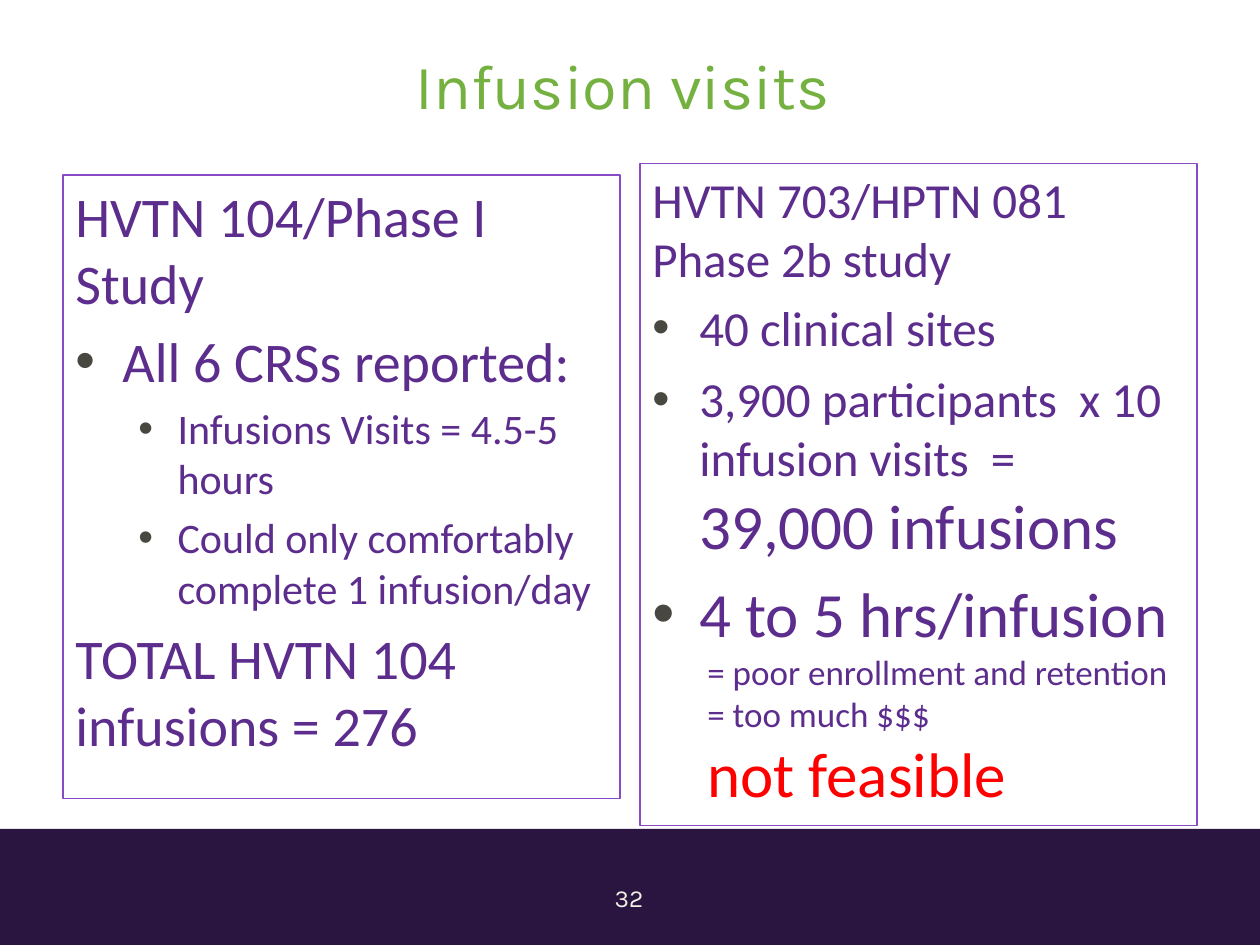
from typing import NamedTuple

from lxml import etree
from pptx import Presentation
from pptx.dml.color import RGBColor
from pptx.enum.shapes import MSO_SHAPE
from pptx.enum.text import MSO_ANCHOR, PP_ALIGN
from pptx.oxml.ns import qn
from pptx.util import Cm, Pt

RECTANGLE = MSO_SHAPE.RECTANGLE
TOP, MIDDLE = MSO_ANCHOR.TOP, MSO_ANCHOR.MIDDLE
LEFT, CENTER = PP_ALIGN.LEFT, PP_ALIGN.CENTER

PURPLE, BORDER, BULLET = "5C2D8D", "884AC5", "494840"
GREEN, RED, FOOTER, CREAM = "75B140", "FF0000", "2A1440", "F2F0E6"
BODY_FONT, TITLE_FONT = "Calibri", "Karla"


class Style(NamedTuple):
    margin: float = 0
    hanging: float = 0
    level: int = 0
    spaced: bool = True


HEADING = Style()
ITEM = Style(margin=0.95, hanging=0.95)
SUBITEM = Style(margin=2.06, hanging=0.79, level=1)
REMARK = Style(margin=1.11, level=1, spaced=False)


class Span(NamedTuple):
    text: str
    size: int


class Line(NamedTuple):
    style: Style
    spans: list[Span]
    color: str = PURPLE


class Panel(NamedTuple):
    left: float
    top: float
    height: float
    lines: list[Line]


PANEL_WIDTH = 11.23
PANELS = [
    Panel(1.27, 3.53, 12.57, [
        Line(HEADING, [Span("HVTN 104/Phase I Study", 32)]),
        Line(ITEM, [Span("All 6 CRSs reported:", 32)]),
        Line(SUBITEM, [Span("Infusions Visits = 4.5-5 hours", 24)]),
        Line(SUBITEM, [Span("Could only comfortably complete 1 infusion/day", 24)]),
        Line(HEADING, [Span("TOTAL HVTN 104 infusions = 276", 32)]),
    ]),
    Panel(12.9, 3.3, 13.34, [
        Line(HEADING, [Span("HVTN 703/HPTN 081 Phase 2b study", 28)]),
        Line(ITEM, [Span("40 clinical sites", 28)]),
        Line(ITEM, [Span("3,900 participants  x 10 infusion visits  = ", 28),
                    Span("39,000 infusions", 36)]),
        Line(ITEM, [Span("4 to 5 hrs/infusion", 36)]),
        Line(REMARK, [Span("= poor enrollment and retention", 20)]),
        Line(REMARK, [Span("= too much $$$", 20)]),
        Line(REMARK, [Span("not feasible", 36)], RED),
    ]),
]


def rgb(value: str) -> RGBColor:
    return RGBColor.from_string(value)


def add_rectangle(page, left: float, top: float, width: float, height: float):
    box = page.shapes.add_shape(RECTANGLE, Cm(left), Cm(top), Cm(width), Cm(height))
    box.shadow.inherit = False
    return box


def add_bullet(para) -> None:
    properties = para._p.get_or_add_pPr()
    color = etree.SubElement(properties, qn("a:buClr"))
    etree.SubElement(color, qn("a:srgbClr"), val=BULLET)
    etree.SubElement(properties, qn("a:buFont"), typeface="Arial")
    etree.SubElement(properties, qn("a:buChar"), char="•")


def write_line(para, line: Line, first: bool) -> None:
    style = line.style
    para.alignment = LEFT
    para.level = style.level
    properties = para._p.get_or_add_pPr()
    properties.set("marL", str(Cm(style.margin)))
    properties.set("indent", str(-Cm(style.hanging)))
    if style.hanging:
        add_bullet(para)
    if style.spaced and not first:
        para.space_before = Pt(0.2 * max(span.size for span in line.spans))
    para.font.name = BODY_FONT
    para.font.color.rgb = rgb(line.color)
    if len(line.spans) == 1:
        para.font.size = Pt(line.spans[0].size)
    for span in line.spans:
        run = para.add_run()
        run.text = span.text
        if len(line.spans) > 1:
            run.font.size = Pt(span.size)


def add_panel(page, panel: Panel) -> None:
    box = add_rectangle(page, panel.left, panel.top, PANEL_WIDTH, panel.height)
    box.fill.background()
    box.line.color.rgb = rgb(BORDER)
    box.line.width = Pt(0.75)
    frame = box.text_frame
    frame.word_wrap = True
    frame.vertical_anchor = TOP
    for index, line in enumerate(panel.lines):
        para = frame.add_paragraph() if index else frame.paragraphs[0]
        write_line(para, line, index == 0)


def add_label(page, text: str, left: float, top: float, width: float,
              height: float, size: int, color: str):
    box = page.shapes.add_textbox(Cm(left), Cm(top), Cm(width), Cm(height))
    frame = box.text_frame
    frame.word_wrap = True
    para = frame.paragraphs[0]
    para.text = text
    para.alignment = CENTER
    para.font.name = TITLE_FONT
    para.font.size = Pt(size)
    para.font.color.rgb = rgb(color)
    return frame


def main() -> None:
    deck = Presentation()
    deck.slide_width, deck.slide_height = Cm(25.4), Cm(19.05)
    page = deck.slides.add_slide(deck.slide_layouts[6])

    footer = add_rectangle(page, 0, 16.71, 25.4, 2.34)
    footer.fill.solid()
    footer.fill.fore_color.rgb = rgb(FOOTER)
    footer.line.fill.background()

    for panel in PANELS:
        add_panel(page, panel)

    add_label(page, "32", 11.56, 17.68, 2.24, 1.02, 14, CREAM)
    title = add_label(page, "Infusion visits", 1.27, 0.84, 22.86, 3.18, 36, GREEN)
    title.vertical_anchor = MIDDLE
    title.margin_right = Cm(0.55)
    title.margin_bottom = Cm(1.6)

    deck.save("out.pptx")


if __name__ == "__main__":
    main()
